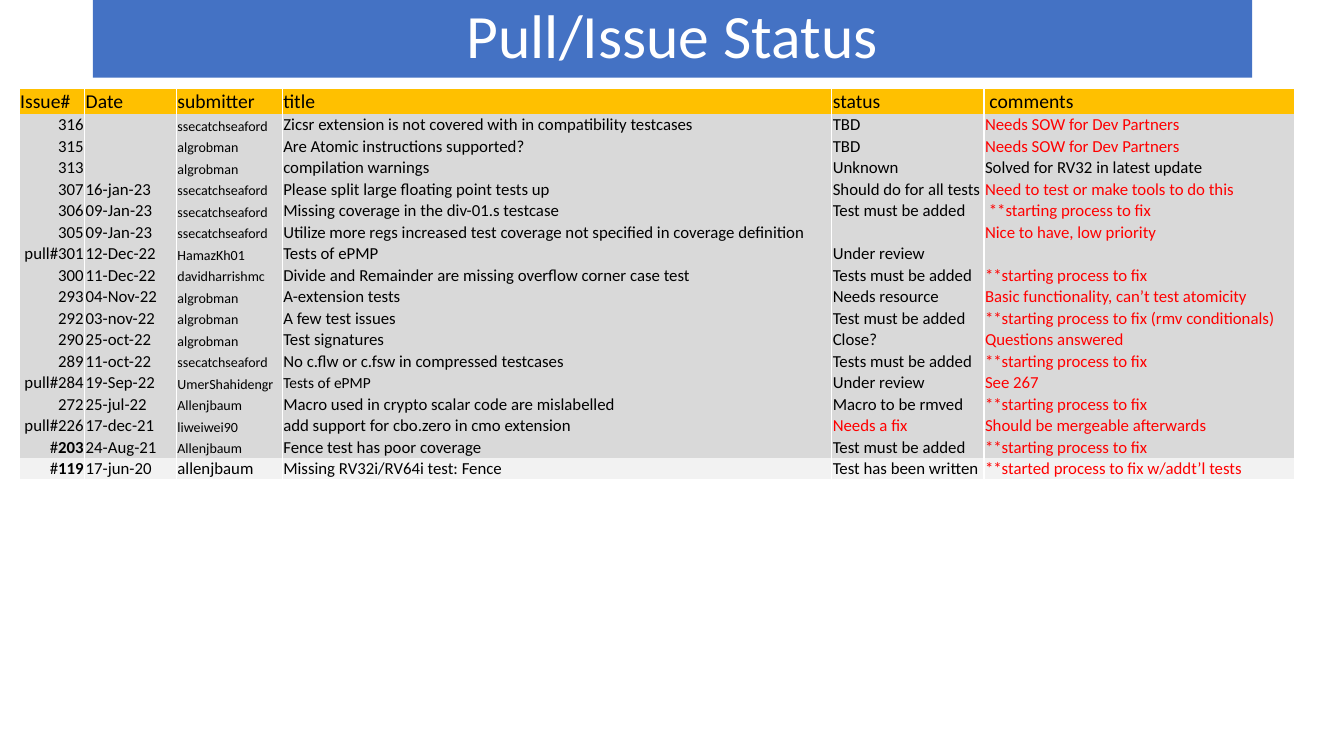
from dataclasses import dataclass

from lxml import etree
from pptx import Presentation
from pptx import util as u
from pptx.dml.color import RGBColor
from pptx.enum import text
from pptx.oxml import ns


@dataclass(frozen=True)
class Theme:
    font: str = "Calibri"
    banner: str = "4472C4"
    white: str = "FFFFFF"
    ink: str = "000000"
    alert: str = "FF0000"
    header: str = "FFC000"
    body: str = "D9D9D9"
    last: str = "F2F2F2"
    title_size: int = 44
    header_size: int = 14
    body_size: int = 12
    compact_size: int = 11
    submitter_size: int = 10
    border_width: int = 1


COLUMNS = ["Issue#", "Date", "submitter", "title", "status", " comments"]
COLUMN_WIDTHS = [0.65, 0.91, 1.05, 5.45, 1.51, 3.08]
HEADER_HEIGHT, ROW_HEIGHT = 0.24, 0.21
FIX = "**starting process to fix"
SOW = "Needs SOW for Dev Partners"
ISSUES = [
    ["316", "", "ssecatchseaford", "Zicsr extension is not covered with in compatibility testcases", "TBD", SOW],
    ["315", "", "algrobman", "Are Atomic instructions supported?", "TBD", SOW],
    ["313", "", "algrobman", "compilation warnings", "Unknown", "Solved for RV32 in latest update"],
    ["307", "16-jan-23", "ssecatchseaford", "Please split large floating point tests up",
     "Should do for all tests", "Need to test or make tools to do this"],
    ["306", "09-Jan-23", "ssecatchseaford", "Missing coverage in the div-01.s testcase",
     "Test must be added", " " + FIX],
    ["305", "09-Jan-23", "ssecatchseaford",
     "Utilize more regs increased test coverage not specified in coverage definition",
     "", "Nice to have, low priority"],
    ["pull#301", "12-Dec-22", "HamazKh01", "Tests of ePMP", "Under review", ""],
    ["300", "11-Dec-22", "davidharrishmc", "Divide and Remainder are missing overflow corner case test",
     "Tests must be added", FIX],
    ["293", "04-Nov-22", "algrobman", "A-extension tests", "Needs resource",
     "Basic functionality, can’t test atomicity"],
    ["292", "03-nov-22", "algrobman", "A few test issues", "Test must be added", FIX + " (rmv conditionals)"],
    ["290", "25-oct-22", "algrobman", "Test signatures", "Close?", "Questions answered"],
    ["289", "11-oct-22", "ssecatchseaford", "No c.flw or c.fsw in compressed testcases",
     "Tests must be added", FIX],
    ["pull#284", "19-Sep-22", "UmerShahidengr", "Tests of ePMP", "Under review", "See 267"],
    ["272", "25-jul-22", "Allenjbaum", "Macro used in crypto scalar code are mislabelled",
     "Macro to be rmved", FIX],
    ["pull#226", "17-dec-21", "liweiwei90", "add support for cbo.zero in cmo extension",
     "Needs a fix", "Should be mergeable afterwards"],
    ["#203", "24-Aug-21", "Allenjbaum", "Fence test has poor coverage", "Test must be added", FIX],
    ["#119", "17-jun-20", "allenjbaum", "Missing RV32i/RV64i test: Fence",
     "Test has been written", "**started process to fix w/addt’l tests"],
]


class StatusSlide:
    def __init__(self, deck, theme):
        self.theme = theme
        self.slide = deck.slides.add_slide(deck.slide_layouts[5])

    def run(self, paragraph, words, size, color, bold=False):
        run = paragraph.add_run()
        run.text = words
        run.font.name = self.theme.font
        run.font.size = u.Pt(size)
        run.font.bold = bold
        run.font.color.rgb = RGBColor.from_string(color)

    def title(self, words):
        banner = self.slide.shapes.title
        banner.left, banner.top = u.Inches(0.92), u.Inches(0)
        banner.width, banner.height = u.Inches(11.5), u.Inches(0.77)
        banner.fill.solid()
        banner.fill.fore_color.rgb = RGBColor.from_string(self.theme.banner)
        frame = banner.text_frame
        frame.auto_size = text.MSO_AUTO_SIZE.NONE
        frame.vertical_anchor = text.MSO_ANCHOR.MIDDLE
        heading = frame.paragraphs[0]
        heading.alignment = text.PP_ALIGN.CENTER
        heading.line_spacing = 0.9
        self.run(heading, words, self.theme.title_size, self.theme.white)

    def border(self, cell, sides):
        properties = cell._tc.get_or_add_tcPr()
        for side in sides:
            line = etree.SubElement(properties, ns.qn(f"a:ln{side}"), w=str(u.Pt(self.theme.border_width)))
            fill = etree.SubElement(line, ns.qn("a:solidFill"))
            etree.SubElement(fill, ns.qn("a:srgbClr"), val=self.theme.white)

    def cell(self, cell, words, size, color, fill, sides="LR", align=text.PP_ALIGN.LEFT):
        self.border(cell, sides)
        cell.fill.solid()
        cell.fill.fore_color.rgb = RGBColor.from_string(fill)
        cell.vertical_anchor = text.MSO_ANCHOR.BOTTOM
        cell.margin_left = cell.margin_right = cell.margin_top = u.Inches(0.01)
        cell.margin_bottom = 0
        paragraph = cell.text_frame.paragraphs[0]
        paragraph.alignment = align
        if words.startswith("#"):
            self.run(paragraph, "#", size, color)
            self.run(paragraph, words[1:], size, color, bold=True)
        elif words:
            self.run(paragraph, words, size, color)
        else:
            etree.SubElement(paragraph._p, ns.qn("a:endParaRPr"), sz=str(size * 100))

    def body_style(self, issue, column):
        theme = self.theme
        number = issue[0]
        size, color = theme.body_size, theme.ink
        if column == "submitter" and number != "#119":
            size = theme.submitter_size
        if column == "title" and number == "pull#284":
            size = theme.compact_size
        if column == COLUMNS[-1] and number != "313":
            color = theme.alert
        if column == "status" and number == "pull#226":
            color = theme.alert
        return size, color

    def issue_table(self, issues):
        theme = self.theme
        height = HEADER_HEIGHT + ROW_HEIGHT * len(issues)
        frame = self.slide.shapes.add_table(
            len(issues) + 1, len(COLUMNS), u.Inches(0.19), u.Inches(0.88),
            u.Inches(sum(COLUMN_WIDTHS)), u.Inches(height))
        table = frame.table
        table.first_row = table.horz_banding = False
        style = table._tbl.tblPr.find(ns.qn("a:tableStyleId"))
        style.text = "{2D5ABB26-0587-4C30-8999-92F81FD0307C}"
        for column, width in zip(table.columns, COLUMN_WIDTHS):
            column.width = u.Inches(width)
        for index, row in enumerate(table.rows):
            row.height = u.Inches(ROW_HEIGHT if index else HEADER_HEIGHT)
        for index, label in enumerate(COLUMNS):
            self.cell(table.cell(0, index), label, theme.header_size, theme.ink, theme.header, "LRT")
        for row, issue in enumerate(issues, 1):
            fill = theme.last if row == len(issues) else theme.body
            for index, words in enumerate(issue):
                size, color = self.body_style(issue, COLUMNS[index])
                align = text.PP_ALIGN.LEFT if index else text.PP_ALIGN.RIGHT
                self.cell(table.cell(row, index), words, size, color, fill, align=align)


def main():
    deck = Presentation()
    deck.slide_width, deck.slide_height = u.Inches(13.33), u.Inches(7.5)
    status = StatusSlide(deck, Theme())
    status.title("Pull/Issue Status")
    status.issue_table(ISSUES)
    deck.save("out.pptx")


if __name__ == "__main__":
    main()
